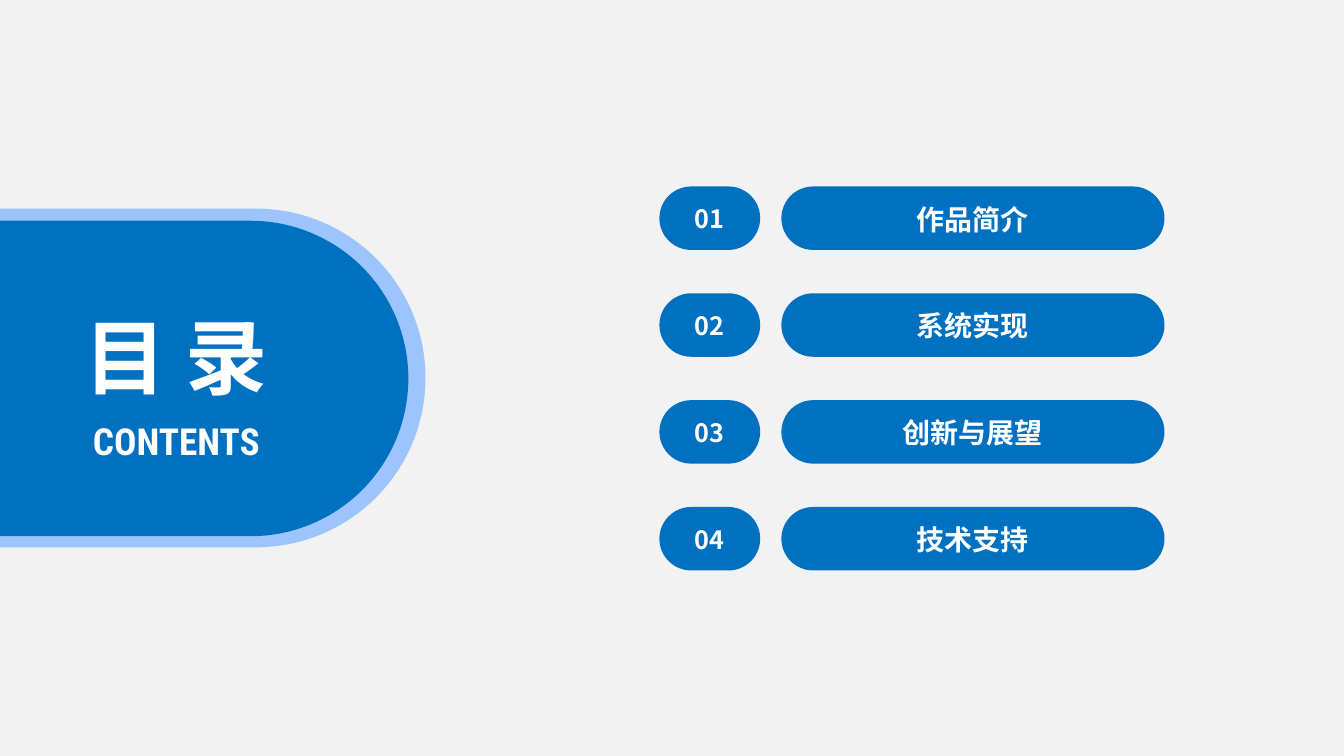
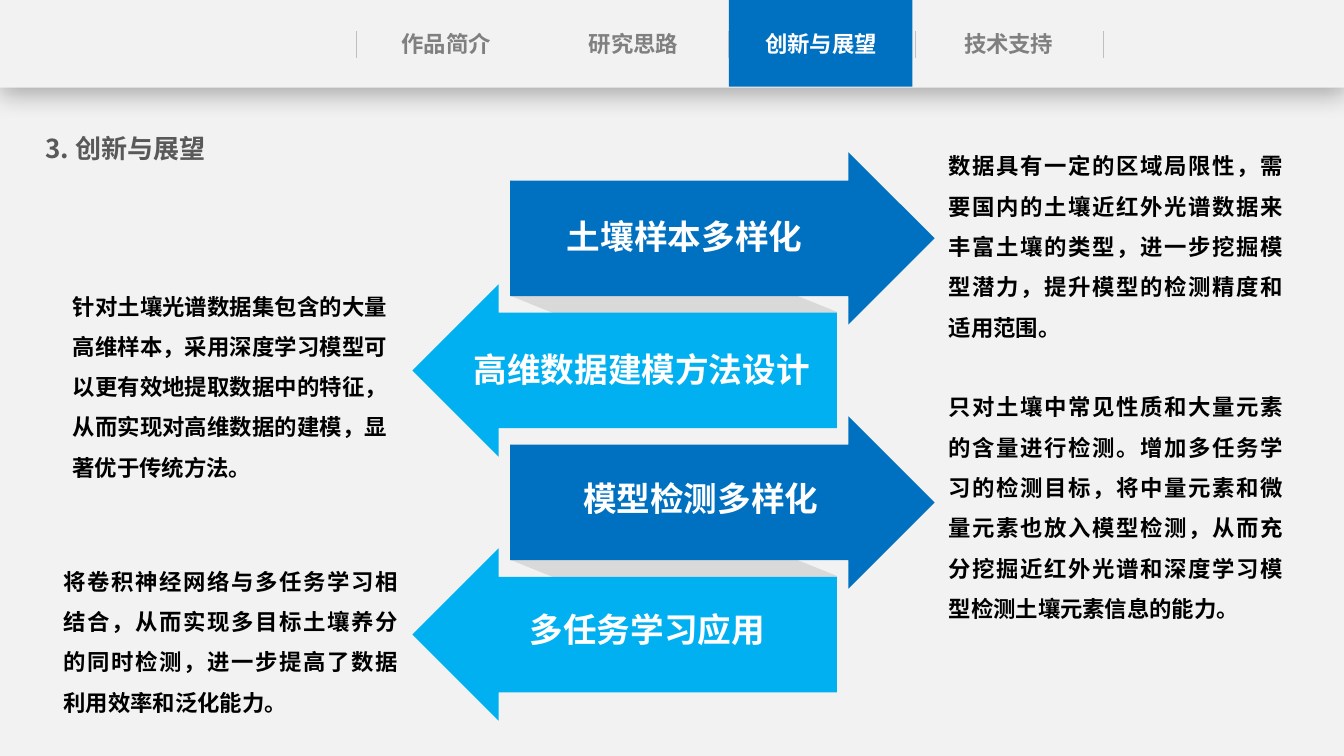
from dataclasses import dataclass

from lxml.etree import SubElement
from pptx import Presentation
from pptx.dml.color import RGBColor
from pptx.enum.shapes import MSO_CONNECTOR, MSO_SHAPE
from pptx.enum.text import MSO_ANCHOR, MSO_AUTO_SIZE, PP_ALIGN
from pptx.oxml.ns import qn
from pptx.util import Pt

EMU_PER_PX = 9144
SLIDE_WIDTH, SLIDE_HEIGHT = 1333, 750
TITLE_ONLY = 5


@dataclass(frozen=True)
class Theme:
    page: str = "F2F2F2"
    primary: str = "0070C0"
    accent: str = "00B0F0"
    halo: str = "9CC5FD"
    fold: str = "D9D9D9"
    divider: str = "BFBFBF"
    white: str = "FFFFFF"
    black: str = "000000"
    muted: str = "808080"
    heading: str = "595959"
    font: str = "Noto Sans CJK SC"
    latin_font: str = "Roboto Condensed"
    cover_size: float = 58.6
    subtitle_size: float = 26.6
    arrow_size: float = 24
    entry_size: float = 20
    heading_size: float = 18.6
    number_size: float = 18
    body_size: float = 16
    label_leading: float = 1.25
    body_leading: float = 1.8


THEME = Theme()


def px(length):
    return length * EMU_PER_PX


class Deck:
    def __init__(self):
        self.presentation = Presentation()
        self.presentation.slide_width = px(SLIDE_WIDTH)
        self.presentation.slide_height = px(SLIDE_HEIGHT)
        page_fill = self.presentation.slide_master.background.fill
        page_fill.solid()
        page_fill.fore_color.rgb = RGBColor.from_string(THEME.page)
        self.slide = None

    def new_slide(self):
        layout = self.presentation.slide_layouts[TITLE_ONLY]
        self.slide = self.presentation.slides.add_slide(layout)

    def set_text(self, shape, content, size, color, align=PP_ALIGN.CENTER,
                 anchor=MSO_ANCHOR.TOP, font=THEME.font,
                 leading=THEME.label_leading):
        """Fill a shape with one bold paragraph, line height in ems."""
        frame = shape.text_frame
        frame.word_wrap = True
        frame.auto_size = MSO_AUTO_SIZE.NONE
        frame.vertical_anchor = anchor
        frame.margin_left = frame.margin_right = 0
        frame.margin_top = frame.margin_bottom = 0
        paragraph = frame.paragraphs[0]
        paragraph.alignment = align
        paragraph.line_spacing = Pt(size * leading)
        run = paragraph.add_run()
        run.text = content
        run.font.size = Pt(size)
        run.font.bold = True
        run.font.color.rgb = RGBColor.from_string(color)
        run.font.name = font
        for properties in shape.element.iter(qn("a:rPr")):
            SubElement(properties, qn("a:ea")).set("typeface", font)

    def title(self, box, content, size, color):
        """Place the title placeholder above everything drawn so far."""
        title = self.slide.shapes.title
        title.left, title.top, title.width, title.height = map(px, box)
        title.element.getparent().append(title.element)
        self.set_text(title, content, size, color)

    def text(self, box, content, size, color, **style):
        holder = self.slide.shapes.add_textbox(*map(px, box))
        self.set_text(holder, content, size, color, **style)

    def body(self, box, content):
        self.text(box, content, THEME.body_size, THEME.black,
                  align=PP_ALIGN.JUSTIFY, leading=THEME.body_leading)

    def shape(self, kind, box, color, adjustments=(), rotation=0):
        shape = self.slide.shapes.add_shape(kind, *map(px, box))
        shape.shadow.inherit = False
        shape.fill.solid()
        shape.fill.fore_color.rgb = RGBColor.from_string(color)
        shape.line.fill.background()
        shape.rotation = rotation
        for index, value in enumerate(adjustments):
            shape.adjustments[index] = value
        return shape

    def pill(self, box, color, content=None, size=None):
        pill = self.shape(MSO_SHAPE.ROUNDED_RECTANGLE, box, color, [0.5])
        if content:
            self.set_text(pill, content, size, THEME.white,
                          anchor=MSO_ANCHOR.MIDDLE)

    def header_band(self, height):
        band = self.shape(MSO_SHAPE.RECTANGLE, (0, 0, SLIDE_WIDTH, height),
                          THEME.page)
        effects = band.element.spPr.find(qn("a:effectLst"))
        shadow = SubElement(effects, qn("a:outerShdw"), blurRad=str(Pt(18)),
                            dist=str(Pt(4)), dir="5400000", rotWithShape="0")
        tint = SubElement(shadow, qn("a:srgbClr"), val=THEME.black)
        SubElement(tint, qn("a:alpha"), val="29000")

    def divider(self, x, top, bottom):
        line = self.slide.shapes.add_connector(
            MSO_CONNECTOR.STRAIGHT, px(x), px(top), px(x), px(bottom))
        line.line.color.rgb = RGBColor.from_string(THEME.divider)
        line.line.width = Pt(0.5)
        SubElement(line.element.spPr, qn("a:effectLst"))

    def navigation(self, sections, active):
        first_left, pitch, label_width = 369, 186, 147
        self.header_band(87)
        self.shape(MSO_SHAPE.RECTANGLE,
                   (first_left + active * pitch - 18, -1, 182, 87),
                   THEME.primary)
        for x in (353, 722, 908, 1094):
            self.divider(x, 31, 58)
        for index, section in enumerate(sections):
            self.text((first_left + index * pitch, 29, label_width, 28),
                      section, THEME.body_size,
                      THEME.white if index == active else THEME.muted)


def build_contents(deck):
    deck.new_slide()
    deck.pill((-196, 207, 618, 336), THEME.halo)
    deck.pill((-170, 219, 575, 313), THEME.primary)
    entries = ("作品简介", "系统实现", "创新与展望", "技术支持")
    for index, entry in enumerate(entries):
        top = 185 + index * 106
        deck.pill((654, top, 100, 63), THEME.primary, f"{index + 1:02}",
                  THEME.number_size)
        deck.pill((775, top, 380, 63), THEME.primary, entry, THEME.entry_size)
    deck.text((62, 413, 226, 46), "CONTENTS", THEME.subtitle_size,
              THEME.white, font=THEME.latin_font)
    deck.title((70, 300, 209, 104), "目 录", THEME.cover_size, THEME.white)


def build_outlook(deck):
    deck.new_slide()
    deck.navigation(("作品简介", "研究思路", "创新与展望", "技术支持"), active=2)
    deck.title((21, 130, 207, 34), "3. 创新与展望", THEME.heading_size,
               THEME.heading)
    for top in (402, 140):
        deck.shape(MSO_SHAPE.PARALLELOGRAM, (546, top, 245, 323), THEME.fold,
                   [0.532], rotation=270)

    # Each row: arrow label with its box, then explanation with its box.
    points = (
        ("土壤样本多样化", (529, 213, 300, 46),
         "数据具有一定的区域局限性，需要国内的土壤近红外光谱数据来丰富土壤的类型，"
         "进一步挖掘模型潜力，提升模型的检测精度和适用范围。",
         (941, 138, 332, 200)),
        ("高维数据建模方法设计", (451, 344, 371, 46),
         "针对土壤光谱数据集包含的大量高维样本，采用深度学习模型可以更有效地提取"
         "数据中的特征，从而实现对高维数据的建模，显著优于传统方法。",
         (72, 277, 312, 200)),
        ("模型检测多样化", (529, 472, 332, 46),
         "只对土壤中常见性质和大量元素的含量进行检测。增加多任务学习的检测目标，"
         "将中量元素和微量元素也放入模型检测，从而充分挖掘近红外光谱和深度学习"
         "模型检测土壤元素信息的能力。",
         (941, 377, 332, 240)),
        ("多任务学习应用", (483, 602, 318, 46),
         "将卷积神经网络与多任务学习相结合，从而实现多目标土壤养分的同时检测，"
         "进一步提高了数据利用效率和泛化能力。",
         (63, 550, 332, 160)),
    )
    for index, (label, label_box, explanation, body_box) in enumerate(points):
        points_left = index % 2 == 1
        deck.shape(MSO_SHAPE.RIGHT_ARROW,
                   (409 if points_left else 506, 151 + index * 131, 421, 171),
                   THEME.accent if points_left else THEME.primary,
                   [0.67, 0.5], rotation=180 if points_left else 0)
        deck.text(label_box, label, THEME.arrow_size, THEME.white)
        deck.body(body_box, explanation)


def main():
    deck = Deck()
    build_contents(deck)
    build_outlook(deck)
    deck.presentation.save("out.pptx")


if __name__ == "__main__":
    main()
